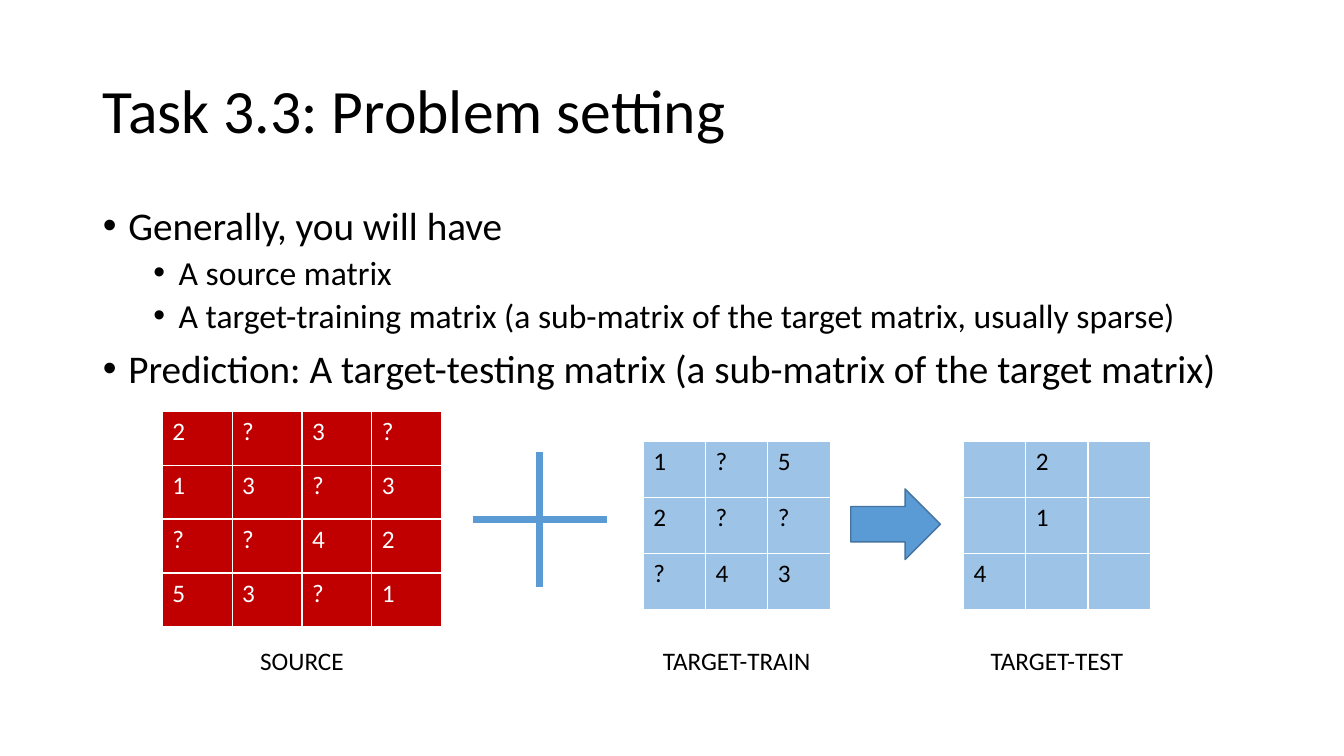
from lxml.etree import SubElement
from pptx import Presentation
from pptx.dml.color import RGBColor
from pptx.enum.shapes import MSO_CONNECTOR, MSO_SHAPE
from pptx.enum.text import MSO_ANCHOR, MSO_AUTO_SIZE, PP_ALIGN
from pptx.oxml.ns import qn
from pptx.util import Cm, Pt

BLACK, WHITE, BLUE = "000000", "FFFFFF", "5B9BD5"
RED, LIGHT_BLUE, DARK_BLUE = "C00000", "9DC3E6", "43739E"


def color(value):
    return RGBColor.from_string(value)


def format_text(para, size, value):
    for span in para.runs:
        span.font.name = "Calibri"
        span.font.size = Pt(size)
        span.font.bold = False
        span.font.color.rgb = color(value)


deck = Presentation()
deck.slide_width, deck.slide_height = Cm(33.87), Cm(19.05)
page = deck.slides.add_slide(deck.slide_layouts[1])
title, body = page.placeholders

# Title
title.left, title.top, title.width, title.height = Cm(2.34), Cm(1.02), Cm(29.21), Cm(3.68)
title.text_frame.text = "Task 3.3: Problem setting"
title.text_frame.auto_size = MSO_AUTO_SIZE.NONE
title.text_frame.vertical_anchor = MSO_ANCHOR.MIDDLE
heading = title.text_frame.paragraphs[0]
heading.alignment = PP_ALIGN.LEFT
heading.line_spacing = 0.9
format_text(heading, 44, BLACK)

# Bullet list
bullets = [
    (0, "Generally, you will have"),
    (1, "A source matrix"),
    (1, "A target-training matrix (a sub-matrix of the target matrix, usually sparse)"),
    (0, "Prediction: A target-testing matrix (a sub-matrix of the target matrix)"),
]
body.left, body.top, body.width, body.height = Cm(2.34), Cm(5.08), Cm(29.21), Cm(12.09)
body.text_frame.text = "\n".join(text for level, text in bullets)
body.text_frame.auto_size = MSO_AUTO_SIZE.NONE
for para, (level, text) in zip(body.text_frame.paragraphs, bullets):
    para.level = level
    para.line_spacing = 0.9
    para.space_before = Pt(5 if level else 10)
    format_text(para, 24 if level else 28, BLACK)
    properties = para._p.get_or_add_pPr()
    properties.set("marL", str(Cm(0.64 + 1.27 * level)))
    properties.set("indent", str(Cm(-0.64)))
    SubElement(properties, qn("a:buFont")).set("typeface", "Arial")
    SubElement(properties, qn("a:buChar")).set("char", "•")

# Matrices, each with a label centred below: a space marks an empty cell
matrices = [
    ("SOURCE", 2.64, ["2?3?", "13?3", "??42", "53?1"], 4.09, 10.36, 1.76, 1.36, RED, WHITE),
    ("TARGET-TRAIN", 4.27, ["1?5", "2??", "?43"], 16.21, 11.13, 1.57, 1.41, LIGHT_BLUE, BLACK),
    ("TARGET-TEST", 3.89, [" 2 ", " 1 ", "4  "], 24.28, 11.13, 1.57, 1.41, LIGHT_BLUE, BLACK),
]
for label, label_width, rows, left, top, cell_width, cell_height, fill, ink in matrices:
    count = len(rows)
    width = cell_width * count
    frame = page.shapes.add_table(count, count, Cm(left), Cm(top), Cm(width), Cm(cell_height * count))
    table = frame.table
    for column in table.columns:
        column.width = Cm(cell_width)
    for row_index, row in enumerate(rows):
        table.rows[row_index].height = Cm(cell_height)
        for column_index, value in enumerate(row):
            cell = table.cell(row_index, column_index)
            cell.fill.solid()
            cell.fill.fore_color.rgb = color(fill)
            if value != " ":
                cell.text_frame.text = value
                format_text(cell.text_frame.paragraphs[0], 18, ink)

    box = page.shapes.add_textbox(
        Cm(left + (width - label_width) / 2), Cm(16.13), Cm(label_width), Cm(1.02))
    box.text_frame.text = label
    box.text_frame.word_wrap = False
    box.text_frame.auto_size = MSO_AUTO_SIZE.SHAPE_TO_FIT_TEXT
    caption = box.text_frame.paragraphs[0]
    caption.alignment = PP_ALIGN.CENTER
    format_text(caption, 18, BLACK)

# Plus sign
center_x, center_y, arm = 13.6, 13.09, 1.69
for reach_x, reach_y in [(arm, 0), (0, arm)]:
    bar = page.shapes.add_connector(
        MSO_CONNECTOR.STRAIGHT,
        Cm(center_x - reach_x), Cm(center_y + reach_y),
        Cm(center_x + reach_x), Cm(center_y - reach_y))
    bar.line.color.rgb = color(BLUE)
    bar.line.width = Pt(4.75)
    SubElement(bar._element.spPr, qn("a:effectLst"))

# Arrow to the prediction
arrow = page.shapes.add_shape(MSO_SHAPE.RIGHT_ARROW, Cm(21.44), Cm(12.32), Cm(2.26), Cm(1.78))
arrow.shadow.inherit = False
arrow.fill.solid()
arrow.fill.fore_color.rgb = color(BLUE)
arrow.line.color.rgb = color(DARK_BLUE)
arrow.line.width = Pt(1)

deck.save("out.pptx")
